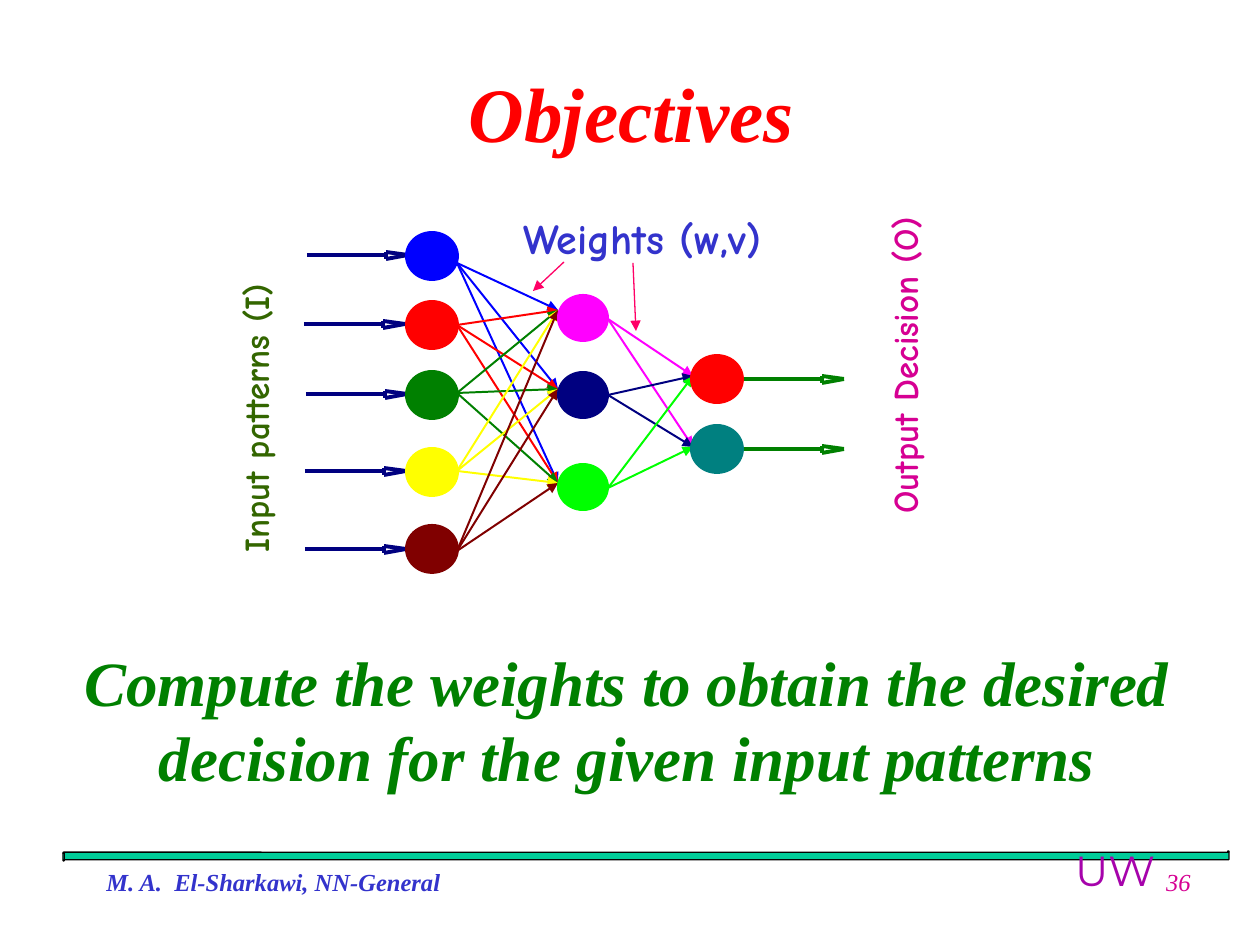
from dataclasses import dataclass

from lxml import etree
from pptx import Presentation
from pptx.dml.color import RGBColor
from pptx.enum.shapes import MSO_CONNECTOR, MSO_SHAPE
from pptx.enum.text import MSO_ANCHOR, PP_ALIGN
from pptx.oxml.ns import qn
from pptx.util import Pt

LINE = MSO_CONNECTOR.STRAIGHT
OVAL = MSO_SHAPE.OVAL
SCROLL = MSO_SHAPE.HORIZONTAL_SCROLL
TOP, MIDDLE = MSO_ANCHOR.TOP, MSO_ANCHOR.MIDDLE
LEFT, MID, RIGHT = PP_ALIGN.LEFT, PP_ALIGN.CENTER, PP_ALIGN.RIGHT
SCALE = 914400 / 126


@dataclass(frozen=True)
class Theme:
    serif: str = "Times New Roman"
    comic: str = "Comic Neue"
    sans: str = "Montserrat"
    red: str = "FF0000"
    green: str = "008000"
    blue: str = "0000FF"
    yellow: str = "FFFF00"
    maroon: str = "800000"
    pink: str = "FF00FF"
    navy: str = "000080"
    lime: str = "00FF00"
    teal: str = "008080"
    ink: str = "3333CC"
    rose: str = "D60093"
    olive: str = "336600"
    hint: str = "FF0066"
    purple: str = "A603AB"
    mint: str = "00CC99"
    black: str = "000000"
    title: int = 44
    body: int = 36
    label: int = 24
    side: int = 20
    foot: int = 14
    thick: float = 2.25
    thin: float = 1.13
    fine: float = 0.75


T = Theme()


@dataclass(frozen=True)
class Node:
    color: str
    mid: int
    entry: int
    leave: int


INPUTS = [
    Node(T.blue, 256, 255, 263),
    Node(T.red, 325, 324, 325),
    Node(T.green, 395, 394, 393),
    Node(T.yellow, 472, 471, 471),
    Node(T.maroon, 549, 549, 551),
]
HIDDEN = [
    Node(T.pink, 318, 310, 319),
    Node(T.navy, 395, 389, 395),
    Node(T.lime, 487, 483, 488),
]
OUTPUTS = [
    Node(T.red, 379, 376, 379),
    Node(T.teal, 449, 447, 449),
]
NODE_W, NODE_H = 50, 46


def px(n):
    return round(n * SCALE)


def rgb(code):
    return RGBColor.from_string(code)


def add_line(slide, start, end, color, width, head=False):
    line = slide.shapes.add_connector(LINE, *map(px, (*start, *end)))
    line.line.color.rgb = rgb(color)
    line.line.width = Pt(width)
    if head:
        tail = etree.SubElement(line.line._get_or_add_ln(), qn("a:tailEnd"))
        tail.set("type", "triangle")
    etree.SubElement(line._element.spPr, qn("a:effectLst"))


def add_shape(slide, kind, box, fill, edge, width):
    shape = slide.shapes.add_shape(kind, *map(px, box))
    shape.shadow.inherit = False
    shape.fill.solid()
    shape.fill.fore_color.rgb = rgb(fill)
    shape.line.color.rgb = rgb(edge)
    shape.line.width = Pt(width)


def add_text(slide, box, lines, face, size, color, bold=True, slant=False,
             align=LEFT, anchor=TOP, wrap=True, turn=0):
    shape = slide.shapes.add_textbox(*map(px, box))
    shape.rotation = turn
    frame = shape.text_frame
    frame.word_wrap = wrap
    frame.vertical_anchor = anchor
    for i, words in enumerate(lines):
        para = frame.add_paragraph() if i else frame.paragraphs[0]
        para.alignment = align
        run = para.add_run()
        run.text = words
        font = run.font
        font.name, font.size = face, Pt(size)
        font.bold, font.italic = bold, slant
        font.color.rgb = rgb(color)


def add_edges(slide, x, end, nodes, goals):
    for node in nodes:
        for goal in goals:
            add_line(slide, (x, node.leave), (end, goal.entry),
                     node.color, T.thin, True)


def add_arrow(slide, x, y, color):
    neck, tip = x + 79, (x + 101, y)
    high, low = (neck, y - 3), (neck, y + 4)
    for start, end in (((x, y), (neck, y)), (high, low), (high, tip), (tip, low)):
        add_line(slide, start, end, color, T.thick)


def add_nodes(slide, x, nodes, width):
    for node in nodes:
        box = (x, node.mid - NODE_H / 2, NODE_W, NODE_H)
        add_shape(slide, OVAL, box, node.color, node.color, width)


def add_foot(slide):
    add_shape(slide, SCROLL, (63, 851, 1166, 10), T.mint, T.black, T.fine)
    add_text(slide, (1060, 838, 110, 44), ["UW"], T.sans, T.label, T.purple,
             bold=False, align=MID, wrap=False)
    add_text(slide, (94, 861, 735, 63), ["M. A.  El-Sharkawi, NN-General"],
             T.serif, T.foot, T.ink, slant=True)
    add_text(slide, (903, 861, 300, 63), ["36"], T.serif, T.foot, T.rose,
             bold=False, slant=True, align=RIGHT)


def add_net(slide):
    add_edges(slide, 457, 558, INPUTS, HIDDEN)
    add_edges(slide, 608, 693, HIDDEN, OUTPUTS)
    for node in OUTPUTS:
        add_arrow(slide, 743, node.leave, T.green)
    for x, node in zip((307, 304, 306, 305, 305), INPUTS):
        add_arrow(slide, x, node.entry, T.navy)
    add_nodes(slide, 558, HIDDEN, T.thin)
    add_nodes(slide, 692, OUTPUTS, T.thick)
    add_nodes(slide, 407, INPUTS, T.thick)


def add_labels(slide):
    add_text(slide, (78, 360, 355, 55), ["Input patterns (I)"],
             T.comic, T.side, T.olive, turn=270)
    add_text(slide, (743, 337, 323, 55), ["Output Decision (O)"],
             T.comic, T.side, T.rose, wrap=False, turn=270)
    add_text(slide, (511, 206, 265, 63), ["Weights (w,v)"],
             T.comic, T.label, T.ink, wrap=False)
    add_line(slide, (633, 263), (636, 331), T.hint, T.fine, True)
    add_line(slide, (564, 262), (533, 291), T.hint, T.fine, True)


def main():
    deck = Presentation()
    deck.slide_width, deck.slide_height = px(1260), px(945)
    slide = deck.slides.add_slide(deck.slide_layouts[6])
    add_foot(slide)
    add_net(slide)
    add_labels(slide)
    add_text(slide, (155, 33, 953, 158), ["Objectives"], T.serif, T.title,
             T.red, slant=True, align=MID, anchor=MIDDLE)
    add_text(slide, (72, 637, 1110, 164),
             ["Compute the weights to obtain the desired",
              "decision for the given input patterns"],
             T.serif, T.body, T.green, slant=True, align=MID, wrap=False)
    deck.save("out.pptx")


if __name__ == "__main__":
    main()
